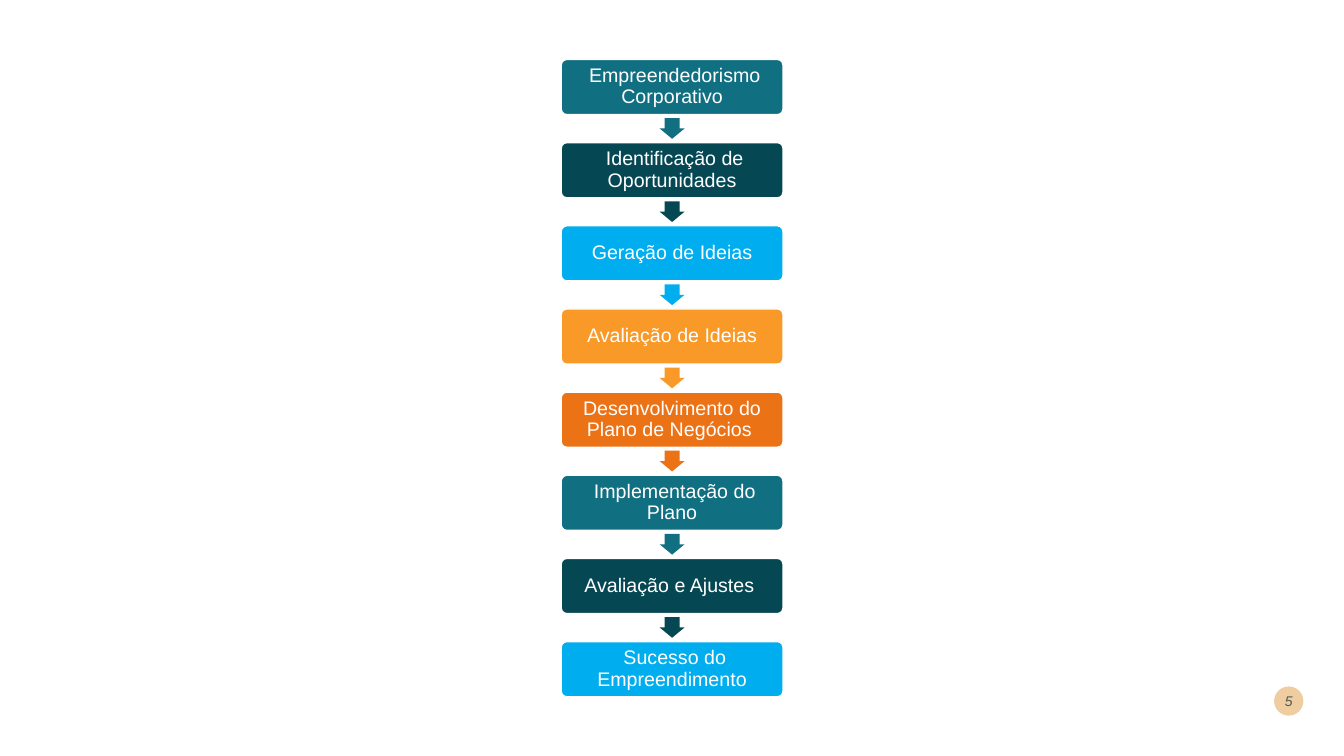
"""Builds a slide with the vertical flow of corporate entrepreneurship."""
from itertools import cycle

from pptx import Presentation
from pptx.dml.color import RGBColor
from pptx.enum.shapes import MSO_SHAPE as Shape
from pptx.enum.text import MSO_ANCHOR as Anchor, PP_ALIGN as Align
from pptx.util import Pt

TEAL = RGBColor(0x10, 0x70, 0x82)
DARK_TEAL = RGBColor(0x05, 0x48, 0x54)
BLUE = RGBColor(0x00, 0xAE, 0xEF)
AMBER = RGBColor(0xF9, 0x99, 0x27)
ORANGE = RGBColor(0xEC, 0x72, 0x16)
SAND = RGBColor(0xF0, 0xCD, 0xA1)
NUMBER_GREY = RGBColor(0x48, 0x5A, 0x50)
WHITE = RGBColor(0xFF, 0xFF, 0xFF)

STEP_COLORS = (TEAL, DARK_TEAL, BLUE, AMBER, ORANGE)
STEPS = (
    " Empreendedorismo Corporativo",
    " Identificação de Oportunidades",
    "Geração de Ideias",
    "Avaliação de Ideias",
    "Desenvolvimento do Plano de Negócios ",
    " Implementação do Plano",
    "Avaliação e Ajustes ",
    " Sucesso do Empreendimento",
)

CENTER_X = 480.1
FLOW_TOP = 42.5
STEP_PITCH = 59.4
BOX_WIDTH, BOX_HEIGHT = 158.4, 39.4
ARROW_WIDTH, ARROW_HEIGHT = 17.8, 14.8
ARROW_GAP = 2.5


def add_filled(slide, kind, left, top, width, height, color):
    shape = slide.shapes.add_shape(kind, Pt(left), Pt(top), Pt(width), Pt(height))
    shape.shadow.inherit = False
    shape.fill.solid()
    shape.fill.fore_color.rgb = color
    shape.line.fill.background()
    return shape


def write_label(shape, text, size, color, inset):
    frame = shape.text_frame
    frame.word_wrap = True
    frame.vertical_anchor = Anchor.MIDDLE
    frame.margin_left = frame.margin_right = Pt(inset)
    frame.margin_top = frame.margin_bottom = Pt(inset)
    paragraph = frame.paragraphs[0]
    paragraph.text = text
    paragraph.alignment = Align.CENTER
    paragraph.font.name = "Arial"
    paragraph.font.size = Pt(size)
    paragraph.font.color.rgb = color
    return paragraph


def add_step(slide, text, top, color):
    box = add_filled(slide, Shape.ROUNDED_RECTANGLE, CENTER_X - BOX_WIDTH / 2, top,
                     BOX_WIDTH, BOX_HEIGHT, color)
    box.adjustments[0] = 0.1
    box.line.color.rgb = WHITE
    box.line.width = Pt(1)
    write_label(box, text, 14, WHITE, 4.2).line_spacing = 0.9


def add_arrow(slide, top, color):
    arrow = add_filled(slide, Shape.DOWN_ARROW, CENTER_X - ARROW_WIDTH / 2, top,
                       ARROW_WIDTH, ARROW_HEIGHT, color)
    arrow.adjustments[0] = 0.6
    arrow.adjustments[1] = 0.5


def add_page_number(slide, number):
    circle = add_filled(slide, Shape.OVAL, 910.1, 490.3, 20.9, 20.9, SAND)
    write_label(circle, number, 10, NUMBER_GREY, 0).font.italic = True


def main():
    presentation = Presentation()
    presentation.slide_width = Pt(960)
    presentation.slide_height = Pt(540)
    slide = presentation.slides.add_slide(presentation.slide_layouts[6])
    add_page_number(slide, "5")
    for index, (text, color) in enumerate(zip(STEPS, cycle(STEP_COLORS))):
        top = FLOW_TOP + index * STEP_PITCH
        add_step(slide, text, top, color)
        if index < len(STEPS) - 1:
            add_arrow(slide, top + BOX_HEIGHT + ARROW_GAP, color)
    presentation.save("out.pptx")


if __name__ == "__main__":
    main()
